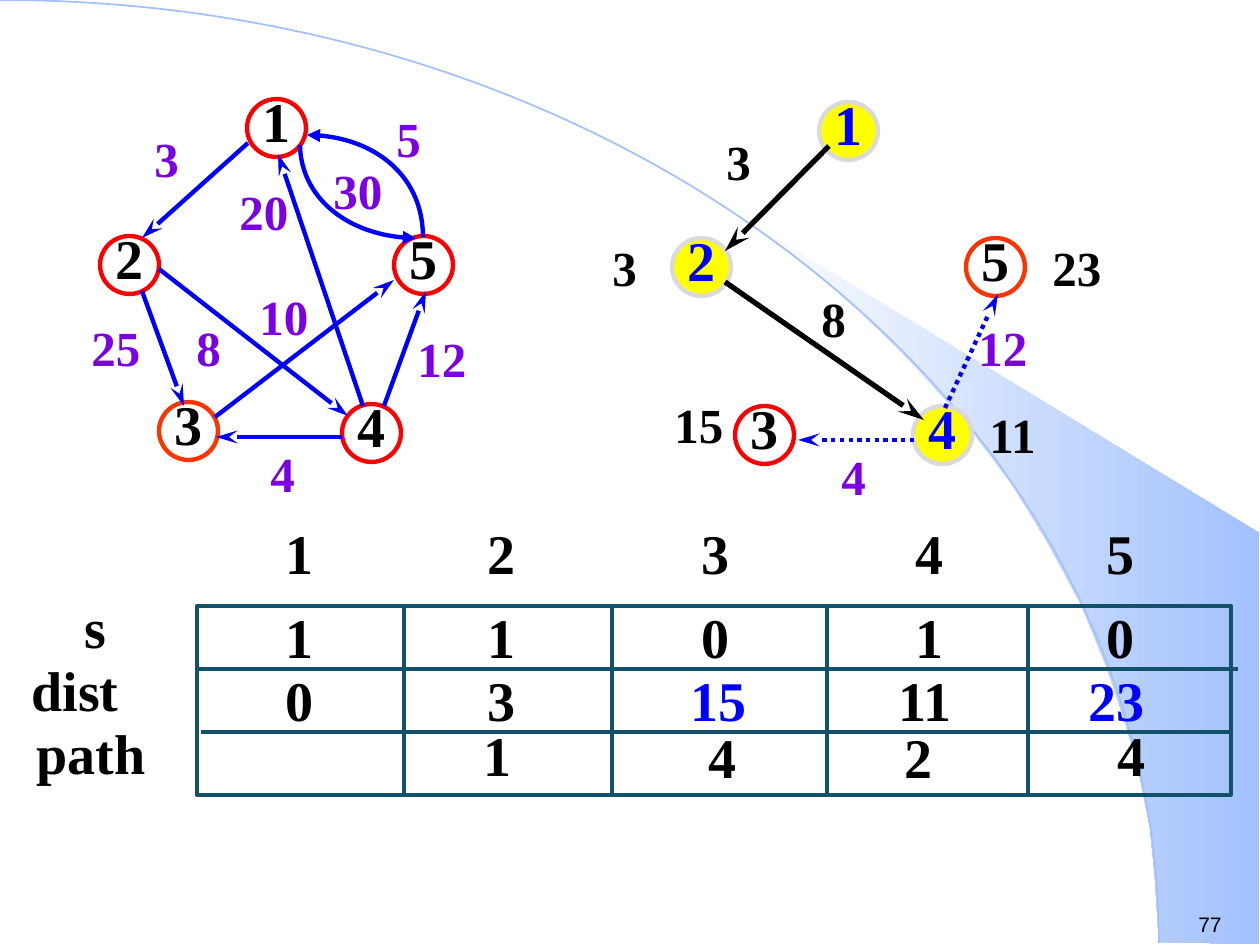
from pptx import Presentation
from pptx.dml.color import RGBColor
from pptx.enum.dml import MSO_LINE
from pptx.enum.shapes import MSO_CONNECTOR, MSO_SHAPE
from pptx.enum.text import MSO_ANCHOR, MSO_AUTO_SIZE, PP_ALIGN
from pptx.oxml.ns import qn
from pptx.util import Emu, Pt
from lxml.etree import SubElement

BLACK = RGBColor(0x00, 0x00, 0x00)
WHITE = RGBColor(0xFF, 0xFF, 0xFF)
BLUE = RGBColor(0x00, 0x00, 0xFF)
PURPLE = RGBColor(0x7B, 0x00, 0xE4)
RED = RGBColor(0xFF, 0x00, 0x00)
ORANGE = RGBColor(0xFF, 0x33, 0x00)
YELLOW = RGBColor(0xFF, 0xFF, 0x00)
GRAY = RGBColor(0xDA, 0xDA, 0xDA)
TEAL = RGBColor(0x13, 0x50, 0x69)
SKY = RGBColor(0xA2, 0xC1, 0xFE)
SCALE = 914400 / 126
SERIF = "Times New Roman"

WEDGE = [(1159, 942), (1259, 944), (1259, 533), (742, 218), (786, 251), (823, 280),
         (863, 315), (902, 353), (960, 416), (1012, 484), (1048, 543), (1081, 604),
         (1106, 665), (1125, 721), (1138, 767), (1150, 827), (1155, 877)]
HORIZON = [(0, 0), (640, 0), (1159, 422), (1159, 943)]

GRID_LEFT, GRID_TOP, GRID_WIDTH, ROW_HEIGHT = 197, 606, 1034, 63
GRID_BOTTOM = GRID_TOP + 3 * ROW_HEIGHT
DIVIDERS = [404, 612, 827, 1028]
ROW_LINES = [(197, 1238), (201, 1231)]
DIGIT_LEFTS = [273, 475, 689, 903, 1094]
ROW_LABELS = [("s", 72, 83), ("dist", 19, 178), ("path", 24, 178)]
S_VALUES = ["1", "1", "0", "1", "0"]
DIST_VALUES = [("0", 273, BLACK), ("3", 475, BLACK), ("15", 678, BLUE),
               ("11", 886, BLACK), ("23", 1076, BLUE)]
PATH_VALUES = [("1", 445, 721, 105), ("4", 619, 722, 208), ("2", 842, 722, 154),
               ("4", 1031, 721, 202)]

GRAPH_NODES = [("2", 100, 236, RED), ("1", 247, 99, RED), ("3", 159, 402, ORANGE),
               ("4", 342, 404, RED), ("5", 394, 236, RED)]
GRAPH_EDGES = [(142, 291, 184, 406), (342, 437, 216, 437), (384, 406, 426, 291),
               (363, 406, 278, 154), (159, 269, 348, 416), (215, 417, 394, 280),
               (248, 143, 142, 238)]
GRAPH_ARCS = [[(307, 135), (372, 135), (423, 178), (423, 237)],
              [(416, 238), (352, 238), (301, 197), (300, 145)]]
GRAPH_WEIGHTS = [("3", 142, 122), ("25", 79, 311), ("8", 184, 311), ("10", 247, 280),
                 ("20", 227, 175), ("4", 258, 437), ("5", 384, 102), ("30", 321, 154),
                 ("12", 405, 322)]

PATH_NODES = [("1", 819, 102), ("2", 672, 238), ("4", 913, 406)]
OPEN_NODES = [("3", 735, 406, RED), ("5", 966, 238, ORANGE)]
PATH_EDGES = [(829, 146, 725, 251), (725, 282, 924, 420)]
OPEN_EDGES = [(945, 408, 998, 294), (914, 440, 798, 440)]
PATH_LABELS = [("3", 600, 231), ("15", 662, 388), ("8", 809, 282), ("3", 714, 125),
               ("23", 1040, 231), ("11", 977, 398)]
OPEN_LABELS = [("12", 966, 311), ("4", 829, 440)]


def px(n):
    return Emu(round(n * SCALE))


def write(tf, text, size=32, color=BLACK, font=SERIF, bold=True, align=PP_ALIGN.LEFT):
    p = tf.paragraphs[0]
    p.alignment = align
    r = p.add_run()
    r.text = text
    r.font.name = font
    r.font.size = Pt(size)
    r.font.bold = bold
    r.font.color.rgb = color


def add_text(s, text, x, y, w, h, inset=True, **fmt):
    tf = s.shapes.add_textbox(px(x), px(y), px(w), px(h)).text_frame
    tf.word_wrap = True
    tf.auto_size = MSO_AUTO_SIZE.SHAPE_TO_FIT_TEXT
    if not inset:
        tf.margin_left = tf.margin_right = tf.margin_top = tf.margin_bottom = 0
    write(tf, text, **fmt)


def add_weight(s, text, x, y, color):
    add_text(s, text, x, y, 32 + 31 * len(text), 72, size=28, color=color)


def add_outline(s, shape, x, y, w, h, line, fill=None):
    sp = s.shapes.add_shape(shape, px(x), px(y), px(w), px(h))
    sp.shadow.inherit = False
    if fill is None:
        sp.fill.background()
    else:
        sp.fill.solid()
        sp.fill.fore_color.rgb = fill
    sp.line.color.rgb = line
    sp.line.width = Pt(2.5)
    return sp


def add_node(s, text, x, y, line, fill=None, color=BLACK):
    tf = add_outline(s, MSO_SHAPE.OVAL, x, y, 59, 58, line, fill).text_frame
    tf.word_wrap = False
    tf.vertical_anchor = MSO_ANCHOR.MIDDLE
    tf.margin_left = tf.margin_right = tf.margin_top = 0
    tf.margin_bottom = px(15)
    write(tf, text, color=color, align=PP_ALIGN.CENTER)


def add_arrowhead(line, end, kind, length):
    SubElement(line._get_or_add_ln(), qn(f"a:{end}"), type=kind, w="med", len=length)


def add_line(s, x1, y1, x2, y2, color=BLUE, width=2.5, dash=None, arrow=True):
    c = s.shapes.add_connector(MSO_CONNECTOR.STRAIGHT, px(x1), px(y1), px(x2), px(y2))
    c.line.color.rgb = color
    c.line.width = Pt(width)
    if dash is not None:
        c.line.dash_style = dash
    if arrow:
        add_arrowhead(c.line, "tailEnd", "stealth", "lg")
    SubElement(c._element.spPr, qn("a:effectLst"))


def add_freeform(s, points, close):
    start, *rest = [(px(x), px(y)) for x, y in points]
    fb = s.shapes.build_freeform(*start, scale=1.0)
    fb.add_line_segments(rest, close=close)
    sp = fb.convert_to_shape()
    sp.shadow.inherit = False
    return sp


def add_curve(s, controls, color, width):
    sp = add_freeform(s, controls, close=False)
    segments = list(sp._element.iter(qn("a:lnTo")))
    outline = segments[0].getparent()
    bezier = SubElement(outline, qn("a:cubicBezTo"))
    for segment in segments:
        bezier.append(segment[0])
        outline.remove(segment)
    sp.fill.background()
    sp.line.color.rgb = color
    sp.line.width = Pt(width)
    return sp


def add_background(s):
    wedge = add_freeform(s, WEDGE, close=True)
    wedge.line.fill.background()
    wedge.fill.gradient()
    wedge.fill.gradient_angle = 0
    for stop, color, position in zip(wedge.fill.gradient_stops, (WHITE, SKY), (0, 1)):
        stop.color.rgb = color
        stop.position = position
    add_curve(s, HORIZON, SKY, 1)


def add_distance_grid(s):
    add_outline(s, MSO_SHAPE.RECTANGLE, GRID_LEFT, GRID_TOP, GRID_WIDTH,
                GRID_BOTTOM - GRID_TOP, TEAL)
    for x in DIVIDERS:
        add_line(s, x, GRID_TOP, x, GRID_BOTTOM, TEAL, 2.25, arrow=False)
    for i, (x1, x2) in enumerate(ROW_LINES, 1):
        y = GRID_TOP + i * ROW_HEIGHT
        add_line(s, x1, y, x2, y, TEAL, 2.25, arrow=False)
    for i, (label, x, w) in enumerate(ROW_LABELS):
        add_text(s, label, x, 586 + i * ROW_HEIGHT, w, 79)
    for i, (value, x) in enumerate(zip(S_VALUES, DIGIT_LEFTS), 1):
        add_text(s, str(i), x, 512, 59, 79)
        add_text(s, value, x, 596, 59, 79)
    for value, x, color in DIST_VALUES:
        add_text(s, value, x, 659, 18 + 41 * len(value), 79, color=color)
    for value, x, y, w in PATH_VALUES:
        add_text(s, value, x, y, w, 67, inset=False, align=PP_ALIGN.CENTER)


def add_graph(s):
    for node in GRAPH_NODES:
        add_node(s, *node)
    for weight in GRAPH_WEIGHTS:
        add_weight(s, *weight, PURPLE)
    for edge in GRAPH_EDGES:
        add_line(s, *edge)
    for controls in GRAPH_ARCS:
        add_arrowhead(add_curve(s, controls, BLUE, 2.5).line, "headEnd", "triangle", "med")


def add_shortest_paths(s):
    for node in PATH_NODES:
        add_node(s, *node, GRAY, fill=YELLOW, color=BLUE)
    for node in OPEN_NODES:
        add_node(s, *node)
    for labels, color in ((PATH_LABELS, BLACK), (OPEN_LABELS, PURPLE)):
        for label in labels:
            add_weight(s, *label, color)
    for edge in PATH_EDGES:
        add_line(s, *edge, color=BLACK, width=3)
    for edge in OPEN_EDGES:
        add_line(s, *edge, dash=MSO_LINE.ROUND_DOT)


def main():
    prs = Presentation()
    prs.slide_width, prs.slide_height = px(1260), px(945)
    s = prs.slides.add_slide(prs.slide_layouts[6])
    add_background(s)
    add_text(s, "77", 1186, 905, 74, 38, size=12, font="Arial", bold=False)
    add_distance_grid(s)
    add_graph(s)
    add_shortest_paths(s)
    prs.save("out.pptx")


if __name__ == "__main__":
    main()
